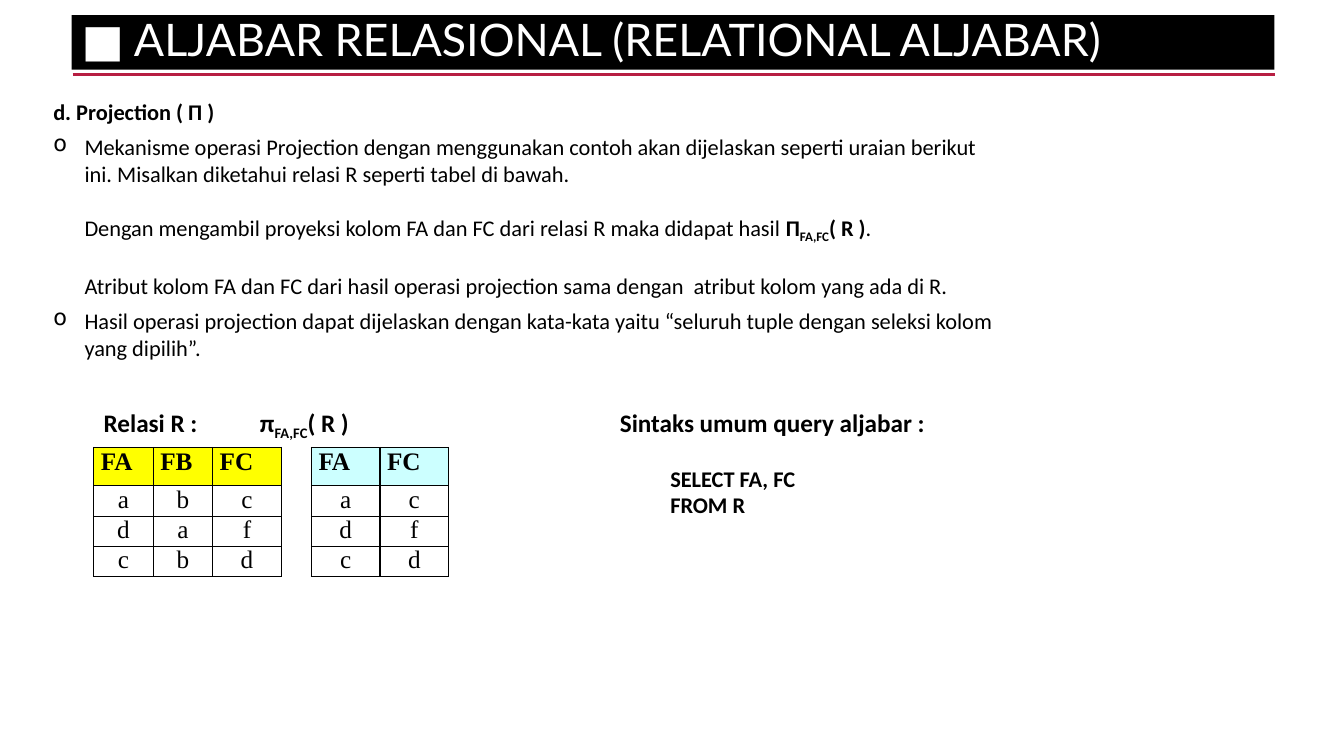
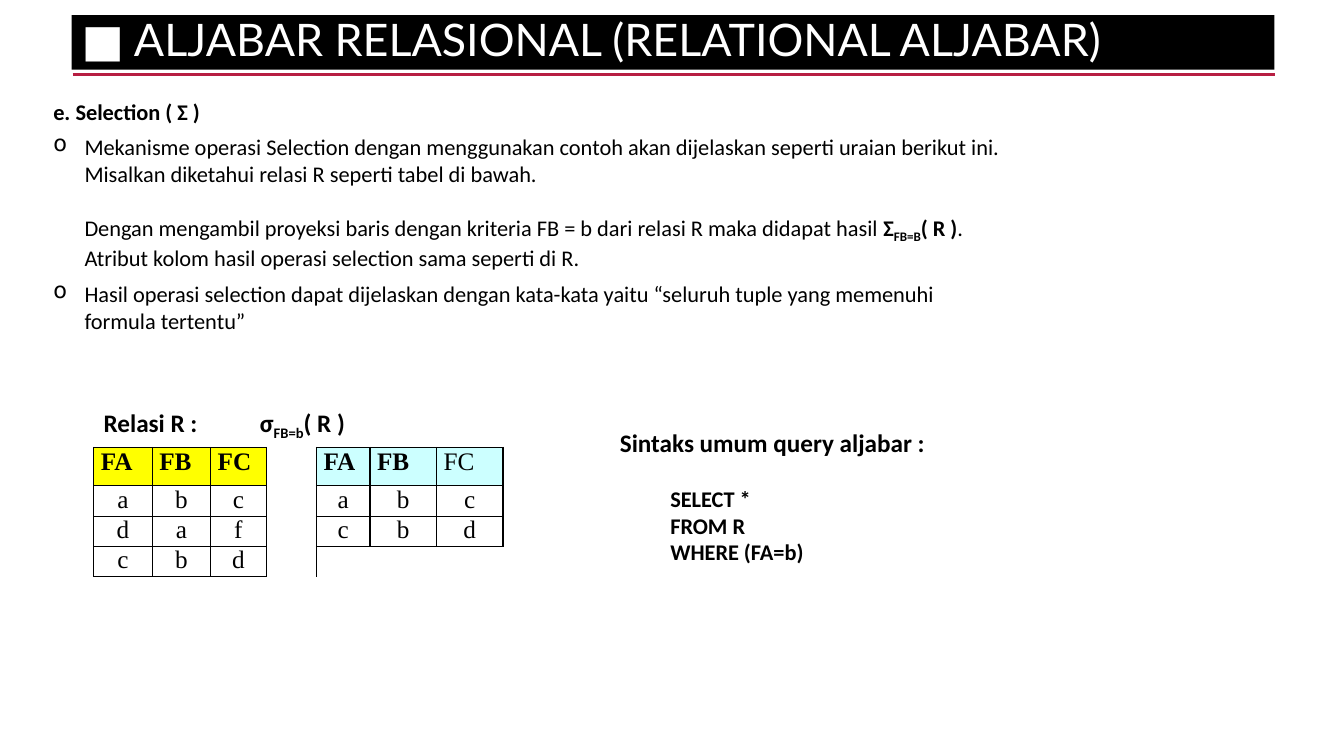
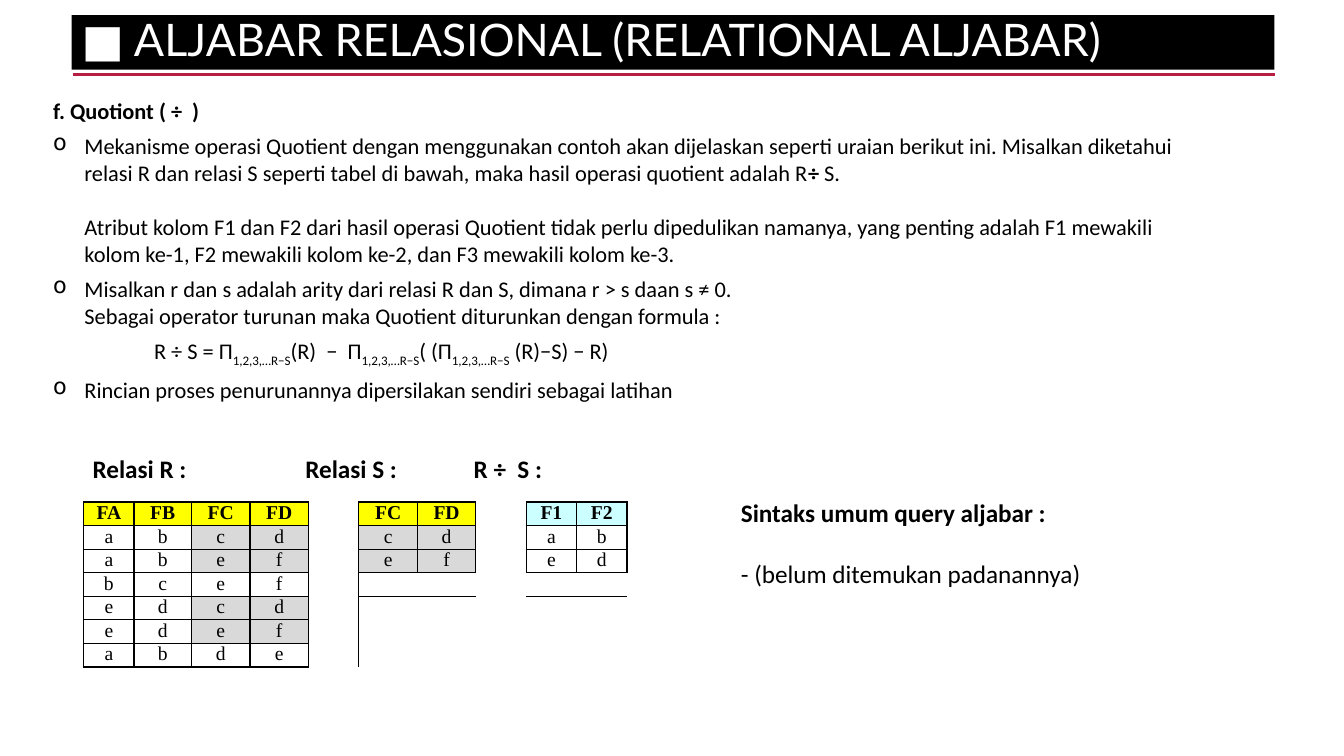
from dataclasses import dataclass

from lxml.etree import SubElement
from pptx import Presentation
from pptx.dml.color import RGBColor
from pptx.enum.shapes import MSO_CONNECTOR
from pptx.enum.text import MSO_ANCHOR, MSO_AUTO_SIZE, PP_ALIGN
from pptx.oxml.ns import qn
from pptx.util import Emu, Pt

EMU_PER_PX = 9144
COLORS = {
    "text": "000000",
    "title_text": "FFFFFF",
    "title_band": "000000",
    "rule": "B71E42",
    "source": "FFFF00",
    "result": "CCFFFF",
    "match": "D9D9D9",
}
TITLE = "■ ALJABAR RELASIONAL (RELATIONAL ALJABAR)"
TITLE_FONT, BODY_FONT, TABLE_FONT = "Lato", "Calibri", "Times New Roman"
NO_GRID_STYLE = "{2D5ABB26-0587-4C30-8999-92F81FD0307C}"
SIDES = {"a:lnL": (0, -1), "a:lnR": (0, 1), "a:lnT": (-1, 0), "a:lnB": (1, 0)}
HANGING = 31
BODY_GAP = 13.5
GAP = "."


@dataclass(frozen=True)
class Span:
    text: str
    bold: bool | None = None
    subscript: bool = False


@dataclass(frozen=True)
class Para:
    spans: tuple[Span, ...]
    size: int = 16
    bold: bool = False
    bullet: bool = False
    margin: int = 0
    before: float = 0
    after: float = 0
    tabs: tuple[int, ...] = ()


@dataclass(frozen=True)
class TextArea:
    left: int
    top: int
    width: int
    height: int
    paras: tuple[Para, ...]


@dataclass(frozen=True)
class Relations:
    """Relations side by side; GAP marks an empty cell, * a shaded one."""
    left: int
    top: int
    widths: tuple[int, ...]
    header_height: int
    row_height: int
    rows: tuple[str, ...]
    size: int
    result_from: int
    header_align: PP_ALIGN = PP_ALIGN.LEFT
    regular_headers: tuple[int, ...] = ()


@dataclass(frozen=True)
class Page:
    areas: tuple[TextArea, ...]
    relations: Relations


def px(length: int) -> Emu:
    return Emu(length * EMU_PER_PX)


def rgb(name: str) -> RGBColor:
    return RGBColor.from_string(COLORS[name])


def set_font(font, name: str, size: int, color: str, bold: bool = False) -> None:
    font.name, font.size, font.bold = name, Pt(size), bold
    font.color.rgb = rgb(color)


def heading(text: str) -> Para:
    return Para((Span(text),), bold=True, after=6)


def bullet(*spans: Span) -> Para:
    return Para(spans, bullet=True, margin=HANGING, after=6)


def continuation(*spans: Span) -> Para:
    return Para(spans, margin=HANGING, before=BODY_GAP, after=6)


def syntax(left: int, top: int, height: int, *lines: str) -> TextArea:
    title = Para((Span("Sintaks umum query aljabar :"),), size=18, bold=True)
    code = tuple(
        Para((Span(line),), bold=True, margin=50, before=0 if index else 19.5)
        for index, line in enumerate(lines)
    )
    return TextArea(left, top, 564, height, (title, *code))


def captions(left: int, top: int, width: int, tabs: tuple[int, ...], *spans: Span) -> TextArea:
    return TextArea(left, top, width, 40, (Para(spans, size=18, bold=True, tabs=tabs),))


def write_para(paragraph, para: Para) -> None:
    properties = paragraph._p.get_or_add_pPr()
    if para.margin:
        properties.set("marL", str(px(para.margin)))
        properties.set("indent", str(px(-HANGING if para.bullet else 0)))
    if para.bullet:
        SubElement(properties, qn("a:buChar"), char="o")
    if para.tabs:
        stops = SubElement(properties, qn("a:tabLst"))
        for position in para.tabs:
            SubElement(stops, qn("a:tab"), pos=str(px(position)), algn="l")
    paragraph.space_before, paragraph.space_after = Pt(para.before), Pt(para.after)
    set_font(paragraph.font, BODY_FONT, para.size, "text", para.bold)
    for span in para.spans:
        for index, line in enumerate(span.text.split("\n")):
            if index:
                paragraph.add_line_break()
            run = paragraph.add_run()
            run.text = line
            if span.bold is not None:
                run.font.bold = span.bold
            if span.subscript:
                run.font._element.set("baseline", "-25000")


def draw_text(slide, area: TextArea) -> None:
    box = slide.shapes.add_textbox(px(area.left), px(area.top), px(area.width), px(area.height))
    frame = box.text_frame
    frame.word_wrap = True
    for index, para in enumerate(area.paras):
        write_para(frame.add_paragraph() if index else frame.paragraphs[0], para)


def draw_title(slide) -> None:
    rule = slide.shapes.add_connector(MSO_CONNECTOR.STRAIGHT, px(72), px(74), px(1265), px(74))
    rule.line.color.rgb = rgb("rule")
    rule.line.width = Pt(2.5)
    SubElement(rule._element.spPr, qn("a:effectLst"))

    title = slide.shapes.title
    title.left, title.top, title.width, title.height = px(71), px(15), px(1193), px(54)
    title.fill.solid()
    title.fill.fore_color.rgb = rgb("title_band")
    frame = title.text_frame
    frame.text = TITLE
    frame.auto_size = MSO_AUTO_SIZE.NONE
    frame.vertical_anchor = MSO_ANCHOR.MIDDLE
    paragraph = frame.paragraphs[0]
    paragraph.alignment = PP_ALIGN.LEFT
    paragraph.line_spacing = 0.9
    set_font(paragraph.font, TITLE_FONT, 32, "title_text")


def draw_borders(cell, grid: list[list[str]], row: int, column: int) -> None:
    """Draw each side that touches a cell with text."""
    def has_text(r: int, c: int) -> bool:
        return 0 <= r < len(grid) and 0 <= c < len(grid[r]) and grid[r][c] != GAP

    properties = cell._tc.get_or_add_tcPr()
    sides = [
        tag for tag, (down, right) in SIDES.items()
        if has_text(row, column) or has_text(row + down, column + right)
    ]
    for position, tag in enumerate(sides):
        line = properties.makeelement(qn(tag), {"w": str(Pt(1))})
        fill = SubElement(line, qn("a:solidFill"))
        SubElement(fill, qn("a:srgbClr"), val=COLORS["text"])
        properties.insert(position, line)


def draw_relations(slide, relations: Relations) -> None:
    grid = [row.split() for row in relations.rows]
    heights = [relations.header_height] + [relations.row_height] * (len(grid) - 1)
    table = slide.shapes.add_table(
        len(grid), len(relations.widths), px(relations.left), px(relations.top),
        px(sum(relations.widths)), px(sum(heights)),
    ).table
    table.first_row = table.horz_banding = False
    table._tbl.tblPr.find(qn("a:tableStyleId")).text = NO_GRID_STYLE
    for column, width in zip(table.columns, relations.widths):
        column.width = px(width)
    for row, height in zip(table.rows, heights):
        row.height = px(height)

    for r, values in enumerate(grid):
        for c, value in enumerate(values):
            cell = table.cell(r, c)
            cell.margin_left = cell.margin_right = px(7)
            cell.margin_top = cell.margin_bottom = 0
            cell.fill.background()
            draw_borders(cell, grid, r, c)
            paragraph = cell.text_frame.paragraphs[0]
            if value == GAP:
                SubElement(paragraph._p, qn("a:endParaRPr"), sz="800")
                continue
            is_header = r == 0
            if is_header or value.endswith("*"):
                header_fill = "result" if c >= relations.result_from else "source"
                cell.fill.solid()
                cell.fill.fore_color.rgb = rgb(header_fill if is_header else "match")
            paragraph.add_run().text = value.rstrip("*")
            paragraph.alignment = relations.header_align if is_header else PP_ALIGN.CENTER
            bold = is_header and c not in relations.regular_headers
            set_font(paragraph.font, TABLE_FONT, relations.size, "text", bold)


ARITY = Span("1,2,3,…R−S", subscript=True)

PROJECTION = Page(
    areas=(
        TextArea(43, 92, 961, 353, (
            heading("d. Projection ( Π )"),
            bullet(Span(
                "Mekanisme operasi Projection dengan menggunakan contoh akan dijelaskan seperti "
                "uraian berikut ini. Misalkan diketahui relasi R seperti tabel di bawah."
            )),
            continuation(
                Span("Dengan mengambil proyeksi kolom FA dan FC dari relasi R maka didapat hasil "),
                Span("Π", bold=True), Span("FA,FC", bold=True, subscript=True),
                Span("( R )", bold=True), Span("."),
            ),
            continuation(Span(
                "Atribut kolom FA dan FC dari hasil operasi projection sama dengan  atribut "
                "kolom yang ada di R."
            )),
            bullet(Span(
                "Hasil operasi projection dapat dijelaskan dengan kata-kata yaitu “seluruh tuple "
                "dengan seleksi kolom yang dipilih”."
            )),
        )),
        syntax(605, 399, 121, "SELECT FA, FC", "FROM R"),
        captions(93, 399, 424, (155,), Span("Relasi R :\tπ"),
                 Span("FA,FC", subscript=True), Span("( R )")),
    ),
    relations=Relations(
        93, 444, (59, 59, 68, 30, 68, 68), 38, 28,
        ("FA FB FC . FA FC", "a b c . a c", "d a f . d f", "c b d . c d"),
        size=18, result_from=4,
    ),
)

SELECTION = Page(
    areas=(
        TextArea(43, 92, 961, 353, (
            heading("e. Selection ( Σ )"),
            bullet(Span(
                "Mekanisme operasi Selection dengan menggunakan contoh akan dijelaskan seperti "
                "uraian berikut ini. Misalkan diketahui relasi R seperti tabel di bawah."
            )),
            continuation(
                Span("Dengan mengambil proyeksi baris dengan kriteria FB = b dari relasi R maka "
                     "didapat hasil "),
                Span("Σ", bold=True), Span("FB=B", bold=True, subscript=True),
                Span("( R )", bold=True),
                Span(".\nAtribut kolom hasil operasi selection sama seperti di R."),
            ),
            bullet(Span(
                "Hasil operasi selection dapat dijelaskan dengan kata-kata yaitu “seluruh tuple "
                "yang memenuhi formula tertentu”"
            )),
        )),
        syntax(605, 419, 148, "SELECT *", "FROM R", "WHERE (FA=b)"),
        captions(93, 399, 424, (155,), Span("Relasi R :\tσ"),
                 Span("FB=b", subscript=True), Span("( R )")),
    ),
    relations=Relations(
        93, 444, (58, 58, 55, 50, 53, 66, 66), 38, 28,
        ("FA FB FC . FA FB FC", "a b c . a b c", "d a f . c b d", "c b d . . . ."),
        size=18, result_from=4, regular_headers=(6,),
    ),
)

QUOTIENT = Page(
    areas=(
        TextArea(43, 91, 1164, 353, (
            heading("f. Quotiont ( ÷  )"),
            bullet(
                Span("Mekanisme operasi Quotient dengan menggunakan contoh akan dijelaskan "
                     "seperti uraian berikut ini. Misalkan diketahui relasi R dan relasi S "
                     "seperti tabel di bawah, maka hasil operasi quotient adalah R"),
                Span("÷ ", bold=True), Span("S."),
            ),
            continuation(Span(
                "Atribut kolom F1 dan F2 dari hasil operasi Quotient tidak perlu dipedulikan "
                "namanya, yang penting adalah F1 mewakili kolom ke-1, F2 mewakili kolom ke-2, "
                "dan F3 mewakili kolom ke-3."
            )),
            bullet(Span(
                "Misalkan r dan s adalah arity dari relasi R dan S, dimana r > s daan s ≠ 0.\n"
                "Sebagai operator turunan maka Quotient diturunkan dengan formula :"
            )),
            Para((Span("R ÷ S = Π"), ARITY, Span("(R)  −  Π"), ARITY, Span("( (Π"), ARITY,
                  Span(" (R)−S) − R)")), margin=100, after=6),
            bullet(Span("Rincian proses penurunannya dipersilakan sendiri sebagai latihan")),
        )),
        TextArea(725, 488, 569, 101, (
            Para((Span("Sintaks umum query aljabar :"),), size=18, bold=True),
            Para((Span("- (belum ditemukan padanannya)"),), size=18, before=22),
        )),
        captions(82, 445, 540, (211, 378), Span("Relasi R :\tRelasi S :\tR ÷  S :")),
    ),
    relations=Relations(
        83, 498, (50, 57, 58, 58, 50, 58, 58, 50, 50, 50), 23, 23,
        (
            "FA FB FC FD . FC FD . F1 F2",
            "a b c* d* . c* d* . a b",
            "a b e* f* . e* f* . e d",
            "b c e f . . . . . .",
            "e d c* d* . . . . . .",
            "e d e* f* . . . . . .",
            "a b d e . . . . . .",
        ),
        size=14, result_from=8, header_align=PP_ALIGN.CENTER,
    ),
)


def main() -> None:
    deck = Presentation()
    deck.slide_width, deck.slide_height = px(1333), px(750)
    title_only = deck.slide_layouts.get_by_name("Title Only")
    for page in (PROJECTION, SELECTION, QUOTIENT):
        slide = deck.slides.add_slide(title_only)
        draw_title(slide)
        for area in page.areas:
            draw_text(slide, area)
        draw_relations(slide, page.relations)
    deck.save("out.pptx")


if __name__ == "__main__":
    main()
